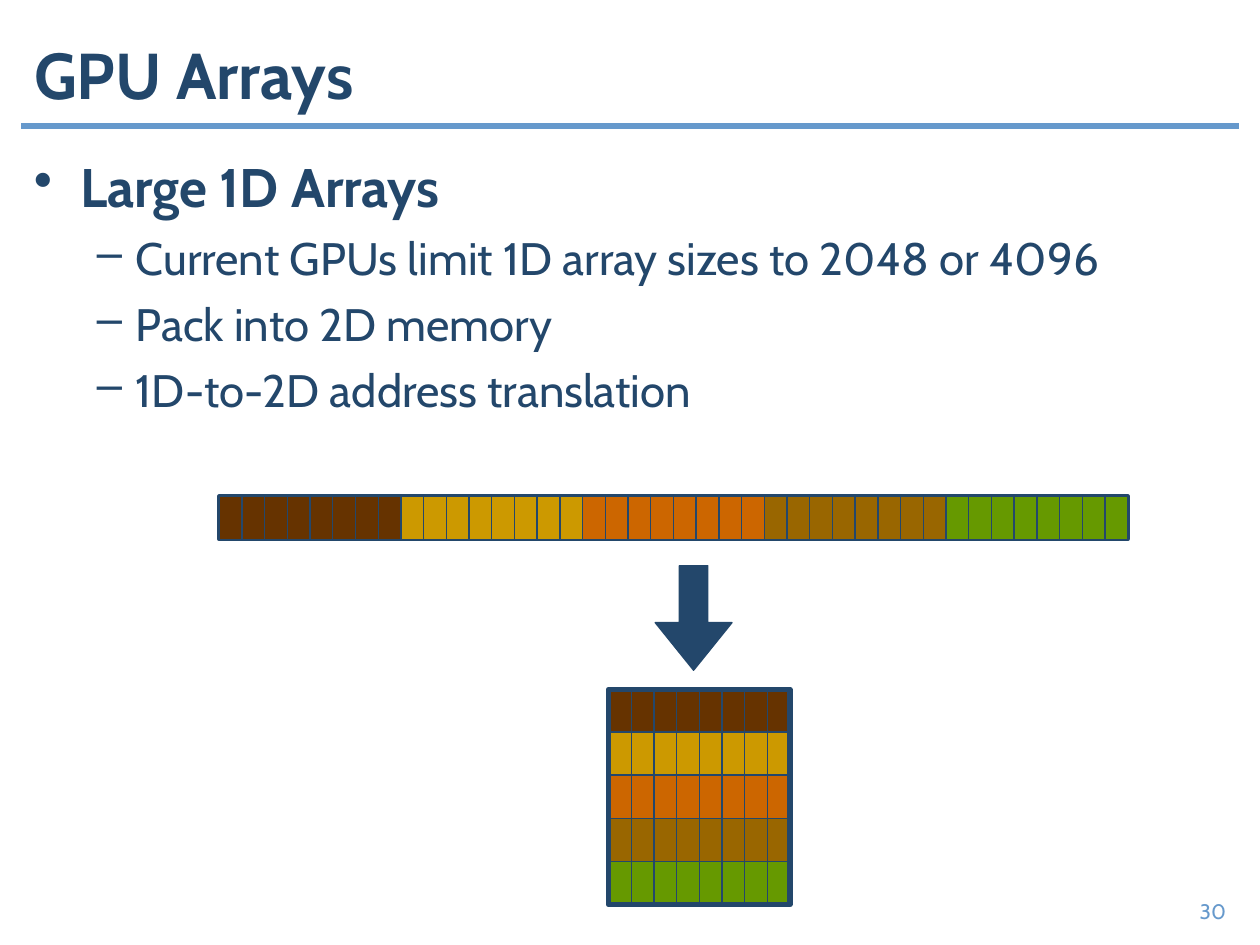
import pptx
import pptx.util
import pptx.dml.color
import pptx.enum.shapes
import pptx.enum.text
import pptx.oxml
import pptx.oxml.ns

Inches = pptx.util.Inches
Pt = pptx.util.Pt
RGBColor = pptx.dml.color.RGBColor
SHAPE = pptx.enum.shapes.MSO_SHAPE
ALIGN = pptx.enum.text.PP_ALIGN
ANCHOR = pptx.enum.text.MSO_ANCHOR

NAVY = RGBColor(0x23, 0x47, 0x6B)
BLUE = RGBColor(0x66, 0x99, 0xCC)
GRAY = RGBColor(0xB2, 0xB2, 0xB2)
BROWN = RGBColor(0x66, 0x33, 0x00)
GOLD = RGBColor(0xCC, 0x99, 0x00)
ORANGE = RGBColor(0xCC, 0x66, 0x00)
OCHRE = RGBColor(0x99, 0x66, 0x00)
GREEN = RGBColor(0x66, 0x99, 0x00)
BANDS = [BROWN, GOLD, ORANGE, OCHRE, GREEN]

FONT = "Cabin"
COLS = 8
WIDE = 0.18
HIGH = 0.34

HEAD = {"size": Pt(31), "bold": True}
ITEM = {"size": Pt(26), "bold": False}
POINTS = [
    ("Large 1D Arrays", 0, HEAD),
    ("Current GPUs limit 1D array sizes to 2048 or 4096", 1, ITEM),
    ("Pack into 2D memory", 1, ITEM),
    ("1D-to-2D address translation", 1, ITEM),
]
LEVELS = [("•", 0.37, 0.37, 7.7), ("–", 0.81, 0.31, 6.5)]


def apply(item, values):
    for name, value in values.items():
        setattr(item, name, value)


def write(para, text, color, values):
    run = para.add_run()
    run.text = text
    apply(run.font, {"name": FONT, **values})
    run.font.color.rgb = color


def place(item, left, top, width, height):
    apply(item, {"left": Inches(left), "top": Inches(top),
                 "width": Inches(width), "height": Inches(height)})


def add_title(slide, text):
    title = slide.shapes.title
    place(title, 0.17, 0.17, 9.67, 0.83)
    apply(title.text_frame, {"vertical_anchor": ANCHOR.MIDDLE, "word_wrap": True,
                             "auto_size": pptx.enum.text.MSO_AUTO_SIZE.NONE})
    para = title.text_frame.paragraphs[0]
    para.alignment = ALIGN.LEFT
    write(para, text, NAVY, {"size": Pt(37), "bold": True})


def add_rule(slide):
    rule = slide.shapes.add_connector(
        pptx.enum.shapes.MSO_CONNECTOR.STRAIGHT,
        Inches(0.17), Inches(1), Inches(9.83), Inches(1))
    rule.line.color.rgb = BLUE
    rule.line.width = Pt(3)
    props = rule._element.spPr
    props.append(pptx.oxml.parse_xml(
        "<a:effectLst %s/>" % pptx.oxml.ns.nsdecls("a")))


def add_box(slide, left, top, width, height):
    box = slide.shapes.add_textbox(
        Inches(left), Inches(top), Inches(width), Inches(height))
    box.text_frame.word_wrap = True
    return box.text_frame


def set_mark(para, level):
    mark, left, hang, space = LEVELS[level]
    apply(para, {"level": level, "space_before": Pt(space)})
    props = para._p.get_or_add_pPr()
    props.set("marL", str(Inches(left)))
    props.set("indent", str(-Inches(hang)))
    space = pptx.oxml.ns.nsdecls("a")
    props.append(pptx.oxml.parse_xml(
        '<a:buClr %s><a:srgbClr val="%s"/></a:buClr>' % (space, NAVY)))
    props.append(pptx.oxml.parse_xml('<a:buChar %s char="%s"/>' % (space, mark)))


def add_points(slide):
    frame = add_box(slide, 0.17, 1.17, 9.67, 2.3)
    for index, (text, level, values) in enumerate(POINTS):
        para = frame.add_paragraph() if index else frame.paragraphs[0]
        set_mark(para, level)
        write(para, text, NAVY, values)


def add_shape(shapes, kind, left, top, width, height, fill, line=0.75):
    shape = shapes.add_shape(
        kind, Inches(left), Inches(top), Inches(width), Inches(height))
    shape.shadow.inherit = False
    if fill is None:
        shape.fill.background()
    else:
        shape.fill.solid()
        shape.fill.fore_color.rgb = fill
    shape.line.color.rgb = NAVY
    shape.line.width = Pt(line)
    return shape


def add_cells(shapes, left, top, step, color):
    for col in range(COLS):
        add_shape(shapes, SHAPE.RECTANGLE, left + col * step, top, WIDE, HIGH, color)


def add_strip(slide):
    left, top, width = 1.74, 3.94, 7.21
    shapes = slide.shapes.add_group_shape().shapes
    add_shape(shapes, SHAPE.RECTANGLE, left, top, width, HIGH, GRAY, 2.25)
    band = width / len(BANDS)
    for index, color in enumerate(BANDS):
        add_cells(shapes, left + index * band, top, band / COLS, color)


def add_grid(slide):
    left, top, width, height = 4.83, 5.47, 1.44, 1.71
    shapes = slide.shapes.add_group_shape().shapes
    pitch = height / len(BANDS)
    for row, color in reversed(list(enumerate(BANDS))):
        add_cells(shapes, left, top + row * pitch, width / COLS, color)
    add_shape(shapes, SHAPE.RECTANGLE, left, top, width, height, None, 3)


def add_arrow(slide):
    arrow = add_shape(slide.shapes, SHAPE.DOWN_ARROW, 5.2, 4.49, 0.61, 0.83, NAVY)
    arrow.adjustments[0] = 0.37
    arrow.adjustments[1] = 0.62


def add_number(slide, text):
    para = add_box(slide, 7.5, 7.08, 2.33, 0.31).paragraphs[0]
    para.alignment = ALIGN.RIGHT
    write(para, text, BLUE, {"size": Pt(12)})


def main():
    deck = pptx.Presentation()
    apply(deck, {"slide_width": Inches(10), "slide_height": Inches(7.5)})
    slide = deck.slides.add_slide(deck.slide_layouts[5])
    add_rule(slide)
    add_title(slide, "GPU Arrays")
    add_points(slide)
    add_strip(slide)
    add_grid(slide)
    add_arrow(slide)
    add_number(slide, "30")
    deck.save("out.pptx")


if __name__ == "__main__":
    main()
